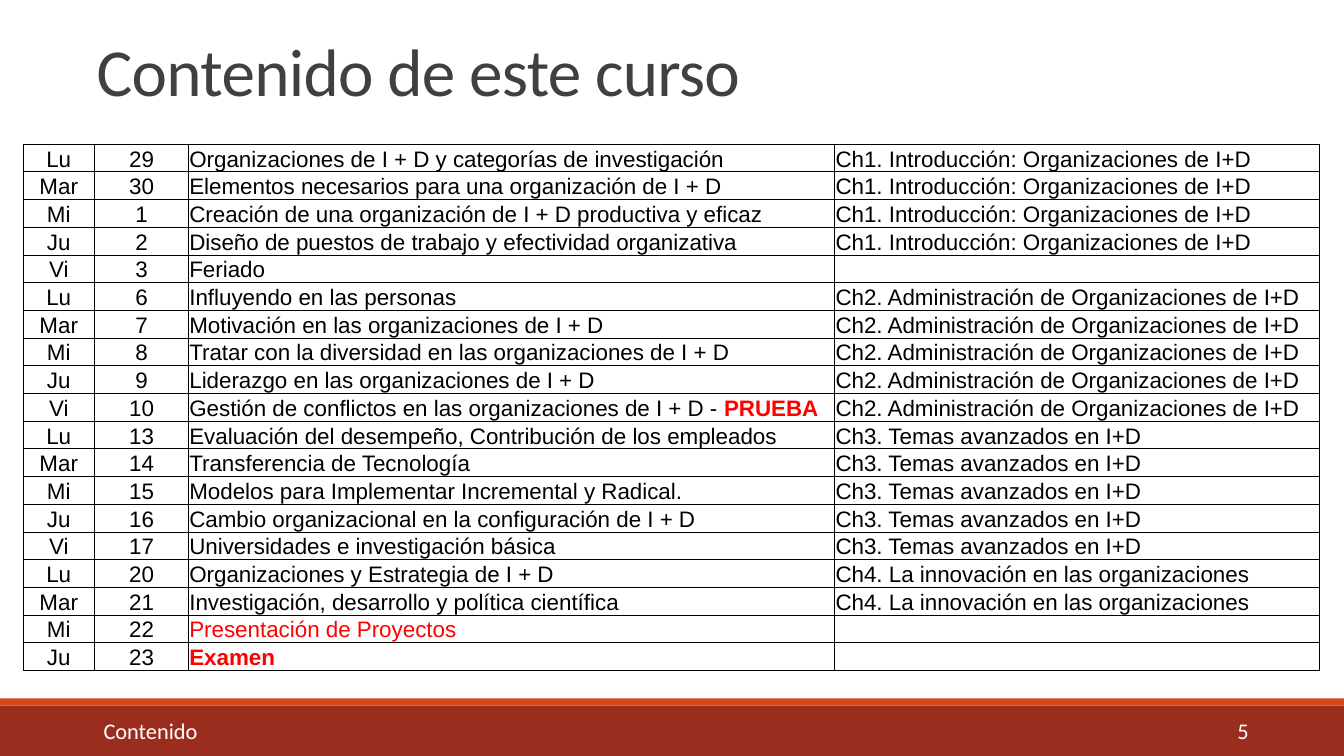
from lxml.etree import SubElement
from pptx import Presentation
from pptx.dml.color import RGBColor
from pptx.enum.shapes import MSO_SHAPE as Shape
from pptx.enum.text import MSO_ANCHOR as Anchor, MSO_AUTO_SIZE as Fit, PP_ALIGN as Align
from pptx.oxml.ns import qn
from pptx.util import Cm, Pt

COLORS = {"bar": "9B2D1F", "stripe": "D34817", "title": "404040",
          "white": "FFFFFF", "text": "000000", "alert": "FF0000"}
WIDTHS = [1.8, 2.37, 16.28, 12.22]
ROW = 0.66

INTRO = "Ch1. Introducción: Organizaciones de I+D"
ADMIN = "Ch2. Administración de Organizaciones de I+D"
TOPICS = "Ch3. Temas avanzados en I+D"
INNOV = "Ch4. La innovación en las organizaciones"

# Day, date, runs of the subject (text, colour, bold), chapter
PLAN = [
    ("Lu", 29, [("Organizaciones de I + D y categorías de investigación",)], INTRO),
    ("Mar", 30, [("Elementos necesarios para una organización de I + D",)], INTRO),
    ("Mi", 1, [("Creación de una organización de I + D productiva y eficaz",)], INTRO),
    ("Ju", 2, [("Diseño de puestos de trabajo y efectividad organizativa",)], INTRO),
    ("Vi", 3, [("Feriado",)], ""),
    ("Lu", 6, [("Influyendo en las personas",)], ADMIN),
    ("Mar", 7, [("Motivación en las organizaciones de I + D",)], ADMIN),
    ("Mi", 8, [("Tratar con la diversidad en las organizaciones de I + D",)], ADMIN),
    ("Ju", 9, [("Liderazgo en las organizaciones de I + D",)], ADMIN),
    ("Vi", 10, [("Gestión de conflictos en las organizaciones de I + D - ",),
                ("PRUEBA", "alert", True)], ADMIN),
    ("Lu", 13, [("Evaluación del desempeño, Contribución de los empleados",)], TOPICS),
    ("Mar", 14, [("Transferencia de Tecnología",)], TOPICS),
    ("Mi", 15, [("Modelos para Implementar Incremental y Radical.",)], TOPICS),
    ("Ju", 16, [("Cambio organizacional en la configuración de I + D",)], TOPICS),
    ("Vi", 17, [("Universidades e investigación básica",)], TOPICS),
    ("Lu", 20, [("Organizaciones y Estrategia de I + D",)], INNOV),
    ("Mar", 21, [("Investigación, desarrollo y política científica",)], INNOV),
    ("Mi", 22, [("Presentación de Proyectos", "alert")], ""),
    ("Ju", 23, [("Examen", "alert", True)], ""),
]


def rgb(name):
    return RGBColor.from_string(COLORS[name])


def add_run(para, text, color="text", bold=False, size=16, face="Arial"):
    run = para.add_run()
    run.text = text
    font = run.font
    font.name, font.size, font.bold = face, Pt(size), bold
    font.color.rgb = rgb(color)
    return run


def add_bar(slide, top, height, color):
    bar = slide.shapes.add_shape(Shape.RECTANGLE, 0, Cm(top), Cm(33.86), Cm(height))
    bar.shadow.inherit = False
    bar.fill.solid()
    bar.fill.fore_color.rgb = rgb(color)
    bar.line.fill.background()


def add_footer(slide, label, page):
    """Put the label at the left and the page at a right tab stop."""
    box = slide.shapes.add_textbox(Cm(2.13), Cm(17.96), Cm(29.62), Cm(0.89))
    frame = box.text_frame
    frame.word_wrap = True
    frame.vertical_anchor = Anchor.MIDDLE
    frame.margin_left = Cm(0.48)
    para = frame.paragraphs[0]
    tabs = SubElement(para._p.get_or_add_pPr(), qn("a:tabLst"))
    SubElement(tabs, qn("a:tab"), pos=str(Cm(28.85)), algn="r")
    add_run(para, f"{label}\t{page}", "white", face="Calibri")


def set_title(slide, text):
    title = slide.shapes.title
    title.left, title.top = Cm(2.18), Cm(0.74)
    title.width, title.height = Cm(27.94), Cm(2.03)
    frame = title.text_frame
    frame.auto_size = Fit.NONE
    frame.vertical_anchor = Anchor.BOTTOM
    frame.margin_bottom = 0
    para = frame.paragraphs[0]
    para.alignment = Align.LEFT
    para.line_spacing = 0.85
    run = add_run(para, text, "title", size=48, face="Calibri")
    run._r.get_or_add_rPr().set("spc", "-50")


def add_borders(cell):
    props = cell._tc.get_or_add_tcPr()
    for side in "LRTB":
        line = SubElement(props, qn(f"a:ln{side}"), w=str(Pt(0.5)))
        fill = SubElement(line, qn("a:solidFill"))
        SubElement(fill, qn("a:srgbClr"), val=COLORS["text"])


def fill_cell(cell, runs, align):
    add_borders(cell)
    cell.fill.background()
    cell.vertical_anchor = Anchor.BOTTOM
    cell.margin_left = cell.margin_right = cell.margin_top = Cm(0.02)
    cell.margin_bottom = 0
    para = cell.text_frame.paragraphs[0]
    para.alignment = align
    for run in runs:
        add_run(para, *run)
    if not runs:
        # An empty cell must not stretch its row
        SubElement(para._p, qn("a:endParaRPr"), sz="1600")


def add_plan(slide):
    frame = slide.shapes.add_table(len(PLAN), len(WIDTHS), Cm(0.58), Cm(3.63),
                                   Cm(sum(WIDTHS)), Cm(ROW * len(PLAN)))
    table = frame.table
    table.first_row = table.horz_banding = False
    for col, width in zip(table.columns, WIDTHS):
        col.width = Cm(width)
    for row, (day, date, topic, part) in zip(table.rows, PLAN):
        row.height = Cm(ROW)
        texts = [[(day,)], [(str(date),)], topic, [(part,)] if part else []]
        for i, (cell, runs) in enumerate(zip(row.cells, texts)):
            fill_cell(cell, runs, Align.CENTER if i < 2 else Align.LEFT)


def main():
    deck = Presentation()
    deck.slide_width, deck.slide_height = Cm(33.86), Cm(19.05)
    slide = deck.slides.add_slide(deck.slide_layouts[5])
    add_bar(slide, 17.78, 1.27, "bar")
    add_bar(slide, 17.6, 0.18, "stripe")
    add_footer(slide, "Contenido", 5)
    set_title(slide, "Contenido de este curso")
    add_plan(slide)
    deck.save("out.pptx")


if __name__ == "__main__":
    main()
